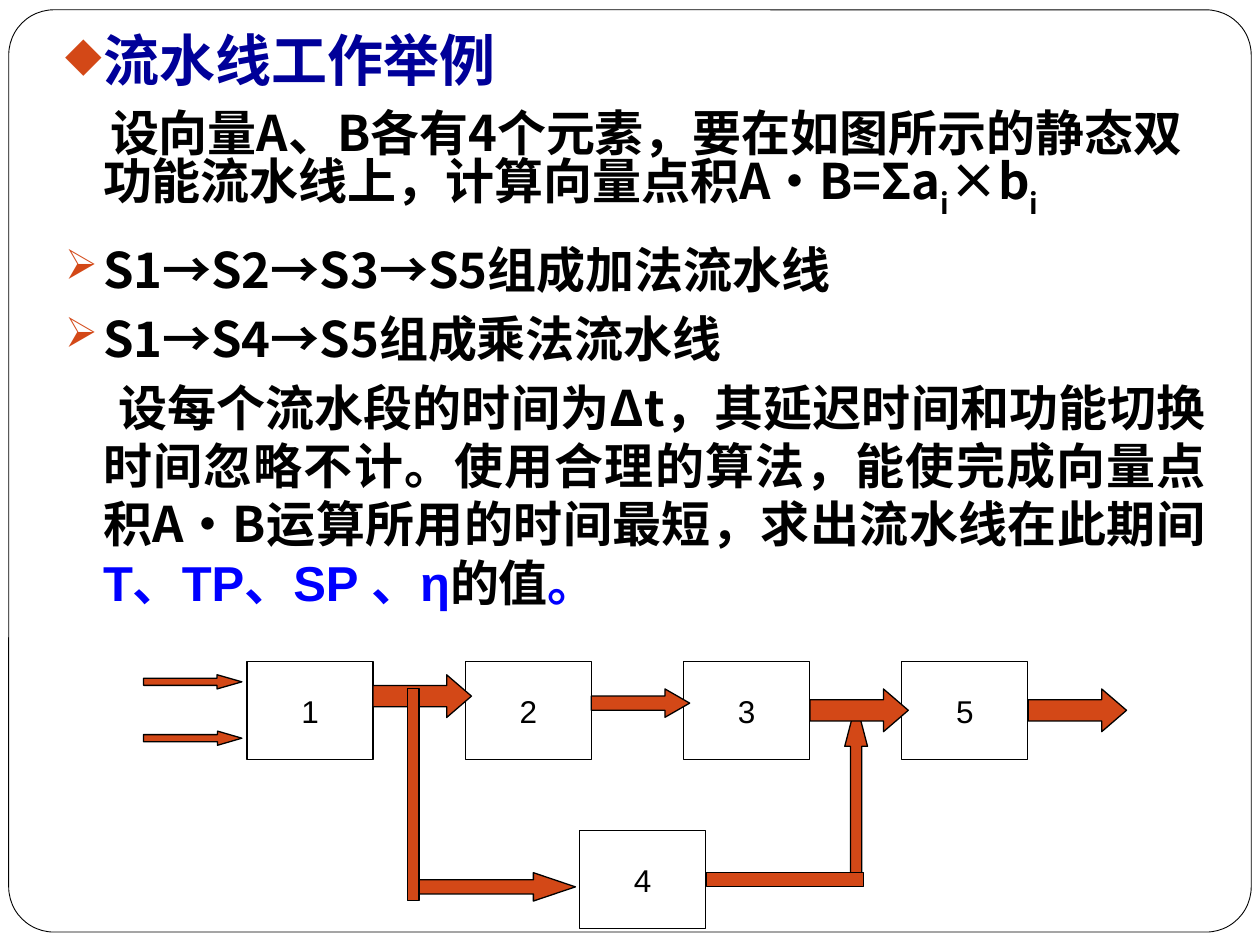
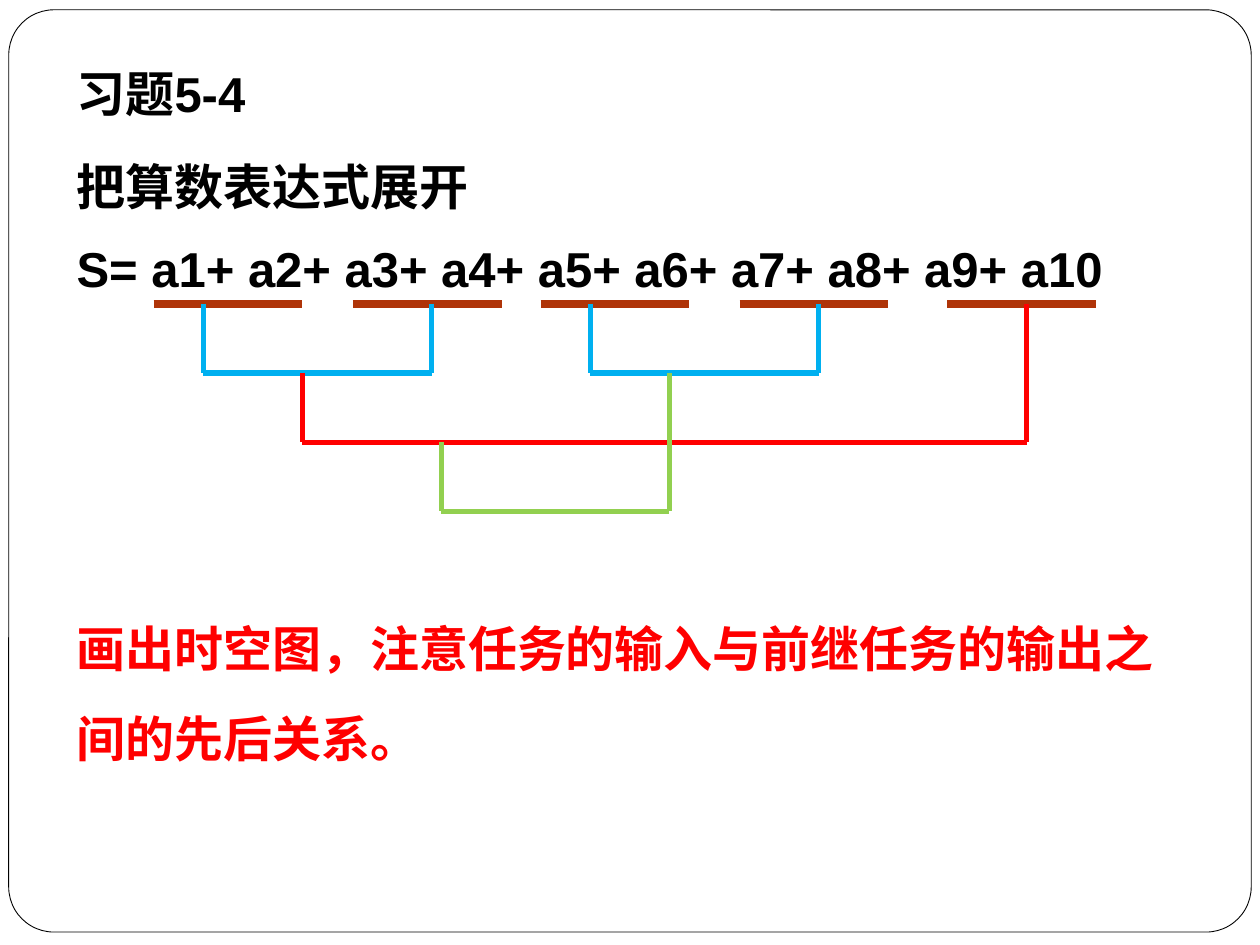
from lxml import etree
from pptx import Presentation
from pptx.dml.color import RGBColor
from pptx.enum.shapes import MSO_CONNECTOR, MSO_SHAPE
from pptx.enum.text import MSO_ANCHOR, PP_ALIGN
from pptx.oxml.ns import qn
from pptx.util import Pt

STRAIGHT = MSO_CONNECTOR.STRAIGHT
RECT, ROUNDED = MSO_SHAPE.RECTANGLE, MSO_SHAPE.ROUNDED_RECTANGLE
RIGHT, UP = MSO_SHAPE.RIGHT_ARROW, MSO_SHAPE.UP_ARROW
CENTER, JUSTIFY = PP_ALIGN.CENTER, PP_ALIGN.JUSTIFY
MIDDLE = MSO_ANCHOR.MIDDLE

THEME = {
    "white": "FFFFFF", "black": "000000", "navy": "000099", "blue": "0000FF",
    "orange": "D34817", "rust": "AF3408", "sky": "00B0F0", "red": "FF0000",
    "green": "92D050",
    "latin": "Arial", "cjk": "Noto Sans CJK SC",
    "title": 32, "body": 28, "label": 18,
}


def add_block(page, kind, bounds, fill, width=0.75, adjust=()):
    """Add an outlined preset shape; bounds are left, top, width, height."""
    block = page.shapes.add_shape(kind, *map(Pt, bounds))
    block.shadow.inherit = False
    block.fill.solid()
    block.fill.fore_color.rgb = RGBColor.from_string(THEME[fill])
    block.line.color.rgb = RGBColor.from_string(THEME["black"])
    block.line.width = Pt(width)
    for index, value in enumerate(adjust):
        block.adjustments[index] = value
    return block


def add_text(page, bounds, paragraphs):
    """Add a wrapped text box from (format, bullet, indent, spans) paragraphs."""
    box = page.shapes.add_textbox(*map(Pt, bounds))
    frame = box.text_frame
    frame.word_wrap = True
    for number, (layout, bullet, indent, spans) in enumerate(paragraphs):
        para = frame.add_paragraph() if number else frame.paragraphs[0]
        for name, value in layout.items():
            setattr(para, name, value)
        props = para._p.get_or_add_pPr()
        if indent is not None:
            props.set("marL", str(Pt(21.6)))
            props.set("indent", str(Pt(indent)))
        if bullet:
            color = etree.SubElement(props, qn("a:buClr"))
            etree.SubElement(color, qn("a:srgbClr"), val=THEME["orange"])
            etree.SubElement(props, qn("a:buSzPct"), val="85000")
            etree.SubElement(props, qn("a:buChar"), char=bullet)
        for text, size, font, color, baseline in spans:
            span = para.add_run()
            span.text = text
            formats = {"size": Pt(THEME[size]), "bold": True, "name": THEME[font]}
            for name, value in formats.items():
                setattr(span.font, name, value)
            span.font.color.rgb = RGBColor.from_string(THEME[color])
            run_props = span._r.get_or_add_rPr()
            etree.SubElement(run_props, qn("a:ea"), typeface=THEME["cjk"])
            if baseline:
                run_props.set("baseline", str(baseline * 1000))


deck = Presentation()
deck.slide_width, deck.slide_height = Pt(720), Pt(540)

# Rounded frame shared by both pages
pages = []
for _ in range(2):
    page = deck.slides.add_slide(deck.slide_layouts[6])
    add_block(page, ROUNDED, (5, 5.6, 710, 527), "white", 0.5, (0.049,))
    pages.append(page)
example, exercise = pages

# Example: pipeline stages
stages = [("4", 331.2, 474.5)]
stages += [(name, 141.2 + 124.7 * column, 378)
           for column, name in enumerate("1235")]
for name, left, top in stages:
    stage = add_block(example, RECT, (left, top, 72, 56.2), "white")
    frame = stage.text_frame
    frame.word_wrap = False
    frame.vertical_anchor = MIDDLE
    para = frame.paragraphs[0]
    para.text = name
    para.alignment = CENTER
    formats = {"size": Pt(THEME["label"]), "name": THEME["latin"]}
    for key, value in formats.items():
        setattr(para.font, key, value)
    para.font.color.rgb = RGBColor.from_string(THEME["black"])

# Example: block arrows and bars between the stages
flows = [
    (UP, (482.7, 401.5, 13, 101.5), (0.5, 1.92)),
    (RIGHT, (587.5, 393.7, 56.2, 24.4), (0.5, 0.58)),
    (RIGHT, (462.8, 393.7, 56.2, 24.4), (0.5, 0.58)),
    (RIGHT, (213.2, 385.6, 56.2, 24.4), (0.5, 0.58)),
    (RIGHT, (337.9, 393.7, 56.2, 16.2), (0.5, 0.87)),
    (RIGHT, (82, 417.8, 56.2, 8.1), (0.5, 1.72)),
    (RIGHT, (82, 385.6, 56.2, 8.1), (0.5, 1.75)),
    (RIGHT, (233, 498.7, 95.8, 16.2), (0.5, 1.48)),
    (RECT, (232.9, 393.5, 6.5, 121.2), ()),
    (RECT, (403.7, 498.7, 89.8, 7.9), ()),
]
for kind, bounds, adjust in flows:
    add_block(example, kind, bounds, "orange", adjust=adjust)

# Example: statement of the problem
plain = ("body", "cjk", "black", 0)
lower = ("body", "cjk", "black", -30)
line = {"line_spacing": Pt(33.4), "space_before": Pt(5.8)}
add_text(example, (30.2, 9.4, 666, 516), [
    ({"line_spacing": Pt(40)}, "◆", -21.6,
     [("流水线工作举例", "title", "cjk", "navy", 0)]),
    (line, None, 4,
     [("设向量A、B各有4个元素，要在如图所示的静态双功能流水线上，计算向量点积A·B=Σa", *plain),
      ("i", *lower), ("×b", *plain), ("i", *lower)]),
    ({**line, "space_before": Pt(11.7)}, "➢", -21.6,
     [("S1→S2→S3→S5组成加法流水线", *plain)]),
    (line, "➢", -21.6, [("S1→S4→S5组成乘法流水线", *plain)]),
    ({**line, "alignment": JUSTIFY}, None, 8.6,
     [("设每个流水段的时间为Δt，其延迟时间和功能切换时间忽略不计。使用合理的算法，"
       "能使完成向量点积A·B运算所用的时间最短，求出流水线在此期间", *plain),
      ("T、TP、SP 、η", "body", "latin", "blue", 0),
      ("的值", *plain), ("。", "body", "cjk", "blue", 0)]),
])

# Exercise: expression and closing remark
bold = ("body", "latin", "black", 0)
wide = {"line_spacing": Pt(51.4), "space_after": Pt(12)}
close = {"line_spacing": Pt(41), "space_after": Pt(6)}
add_text(exercise, (36.7, 15.1, 641, 156), [
    (wide, None, None, [("习题5-4", *bold)]),
    (close, None, None, [("把算数表达式展开", *bold)]),
    (close, None, None,
     [("S= a1+ a2+ a3+ a4+ a5+ a6+ a7+ a8+ a9+ a10", *bold)]),
])
add_text(exercise, (36.7, 331.9, 641, 108), [
    (wide, None, None,
     [("画出时空图，注意任务的输入与前继任务的输出之间的先后关系。",
       "body", "latin", "red", 0)]),
])

# Exercise: underlined pairs, then brackets that merge them level by level
levels = [173.5 + 39.6 * step for step in range(4)]
rules = [(left, levels[0], left + 85, levels[0], "rust", 4.5)
         for left in (87.8, 201.6, 308.9, 422.6, 541.4)]
brackets = [  # left, right, level of left top, right top and base, colour
    (116.2, 246.6, 0, 0, 1, "sky"),
    (337.4, 467.8, 0, 0, 1, "sky"),
    (172.8, 586.8, 1, 0, 2, "red"),
    (252.2, 382.5, 2, 1, 3, "green"),
]
for left, right, left_top, right_top, base, color in brackets:
    bottom = levels[base]
    rules += [
        (left, bottom, right, bottom, color, 3),
        (left, levels[left_top], left, bottom, color, 3),
        (right, levels[right_top], right, bottom, color, 3),
    ]
for *ends, color, width in rules:
    rule = exercise.shapes.add_connector(STRAIGHT, *map(Pt, ends))
    rule.line.color.rgb = RGBColor.from_string(THEME[color])
    rule.line.width = Pt(width)
    etree.SubElement(rule._element.spPr, qn("a:effectLst"))

deck.save("out.pptx")
